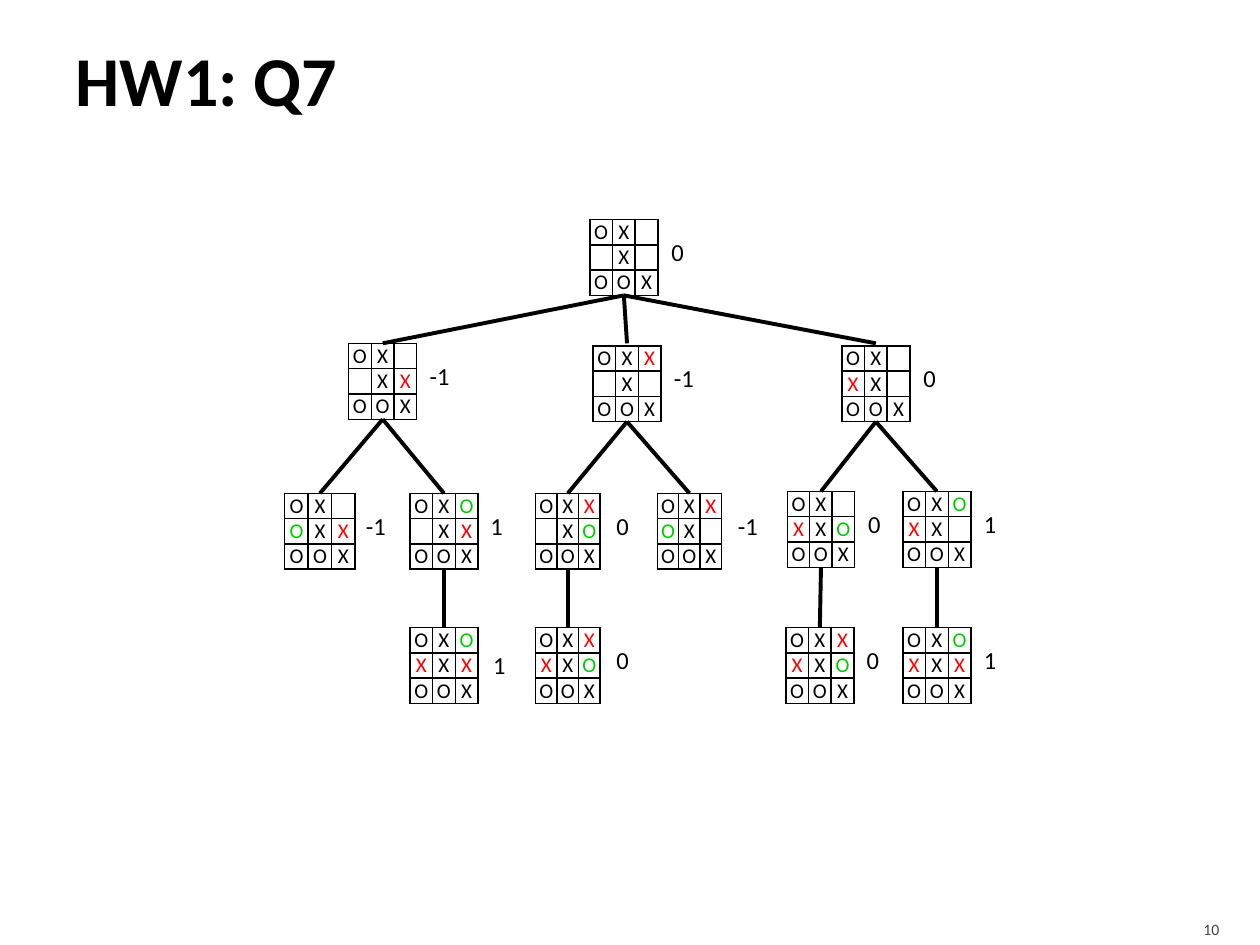
from lxml import etree
from pptx import Presentation
from pptx.dml.color import RGBColor
from pptx.enum import shapes, text
from pptx.oxml.ns import qn
from pptx.util import Pt

BLACK = RGBColor(0, 0, 0)
RED = RGBColor(0xFF, 0, 0)
GREEN = RGBColor(0, 0xCC, 0)
GREY = RGBColor(0x45, 0x45, 0x45)
FONT = "Calibri"
HIGH = 43.4  # height of a board

START = ["OX ", " X ", "OOX"]
FREE = [(0, 2), (1, 0), (1, 2)]  # cells still open at the root

# name: parent, left, top, width, marks in the free cells, value, label gap, label drop
BOARDS = {
    "root": (None, 337, 125.4, 39, "   ", "0", 0.6, 6.4),
    "a": ("root", 199.2, 196.2, 39, "  X", "-1", 0.2, 6.5),
    "b": ("root", 338.8, 197.6, 39, "X  ", "-1", 0.2, 6.4),
    "c": ("root", 481, 197.6, 39, " X ", "0", 0.6, 6.4),
    "a1": ("a", 162.7, 281.9, 40.3, " OX", "-1", -1, 6.5),
    "a2": ("a", 234.2, 281.9, 39, "O X", "1", 0, 6.5),
    "a3": ("a2", 234.2, 358.6, 39, "OXX", "1", 1.6, 9.3),
    "b1": ("b", 306.1, 281.9, 36.8, "X O", "0", 2.2, 6.5),
    "b2": ("b", 375.6, 281.9, 36.8, "XO ", "-1", 2.2, 6.5),
    "b3": ("b1", 306.1, 358.6, 36.8, "XXO", "0", 2.2, 6.5),
    "c1": ("c", 449.9, 280.8, 38.5, " XO", "0", 0.6, 6.5),
    "c2": ("c", 515.9, 280.8, 39, "OX ", "1", 0.2, 6.5),
    "c3": ("c1", 449, 358.6, 39, "XXO", "0", 0.2, 6.5),
    "c4": ("c2", 515.9, 358.6, 39, "OXX", "1", 0.2, 6.5),
}


def write(para, words, size, color, bold=False):
    run = para.add_run()
    run.text = words
    run.font.name = FONT
    run.font.size = Pt(size)
    run.font.bold = bold
    run.font.color.rgb = color


def frame(cell):
    """Give a cell a thin black border on each side and no fill."""
    props = cell._tc.get_or_add_tcPr()
    for side in ("lnL", "lnR", "lnT", "lnB"):
        line = etree.SubElement(props, qn("a:" + side), w=str(Pt(1)))
        fill = etree.SubElement(line, qn("a:solidFill"))
        etree.SubElement(fill, qn("a:srgbClr"), val=str(BLACK))
    cell.fill.background()


deck = Presentation()
deck.slide_width, deck.slide_height = Pt(720), Pt(540)
slide = deck.slides.add_slide(deck.slide_layouts[5])

title = slide.shapes.title
title.left, title.top, title.width, title.height = Pt(36), Pt(5.8), Pt(648), Pt(77.8)
body = title.text_frame
body.auto_size = text.MSO_AUTO_SIZE.NONE
body.vertical_anchor = text.MSO_ANCHOR.MIDDLE
body.margin_left, body.margin_right = Pt(7.2), Pt(3.6)
body.margin_top = body.margin_bottom = Pt(3.6)
body.paragraphs[0].alignment = text.PP_ALIGN.LEFT
write(body.paragraphs[0], "HW1: Q7", 40, BLACK, True)

page = slide.shapes.add_textbox(Pt(646.2), Pt(518.4), Pt(57.6), Pt(21.5)).text_frame
page.word_wrap = True
page.margin_bottom = 0
page.vertical_anchor = text.MSO_ANCHOR.MIDDLE
page.paragraphs[0].alignment = text.PP_ALIGN.RIGHT
write(page.paragraphs[0], "10", 9, GREY)

# Boards with their minimax values
for parent, left, top, width, marks, value, gap, drop in BOARDS.values():
    grid = slide.shapes.add_table(
        3, 3, Pt(left), Pt(top), Pt(width), Pt(HIGH)).table
    grid.first_row = grid.horz_banding = False
    for col in grid.columns:
        col.width = Pt(width / 3)
    for r in range(3):
        for c in range(3):
            cell = grid.cell(r, c)
            frame(cell)
            cell.margin_left = cell.margin_right = 0
            cell.margin_top = cell.margin_bottom = 0
            cell.vertical_anchor = text.MSO_ANCHOR.MIDDLE
            para = cell.text_frame.paragraphs[0]
            para.alignment = text.PP_ALIGN.CENTER
            mark, color = START[r][c], BLACK
            if (r, c) in FREE:
                mark = marks[FREE.index((r, c))]
                color = RED if mark == "X" else GREEN
            if mark != " ":
                write(para, mark, 12, color)
            else:
                etree.SubElement(para._p, qn("a:endParaRPr"), sz="1200")

    wide = 25.9 if value == "-1" else 21.6
    label = slide.shapes.add_textbox(
        Pt(left + width + gap), Pt(top + drop), Pt(wide), Pt(24.5)).text_frame
    label.word_wrap = False
    label.auto_size = text.MSO_AUTO_SIZE.SHAPE_TO_FIT_TEXT
    write(label.paragraphs[0], value, 14, BLACK)

# Each branch runs from the foot of a parent to the head of its child;
# the three root branches end level with the first child
for parent, left, top, width, *rest in BOARDS.values():
    if parent is None:
        continue
    x, y, w = BOARDS[parent][1:4]
    head = BOARDS["a"][2] if parent == "root" else top
    line = slide.shapes.add_connector(
        shapes.MSO_CONNECTOR.STRAIGHT,
        Pt(x + w / 2), Pt(y + HIGH), Pt(left + width / 2), Pt(head))
    line.line.color.rgb = BLACK
    line.line.width = Pt(2.25)
    etree.SubElement(line._element.spPr, qn("a:effectLst"))

deck.save("out.pptx")
